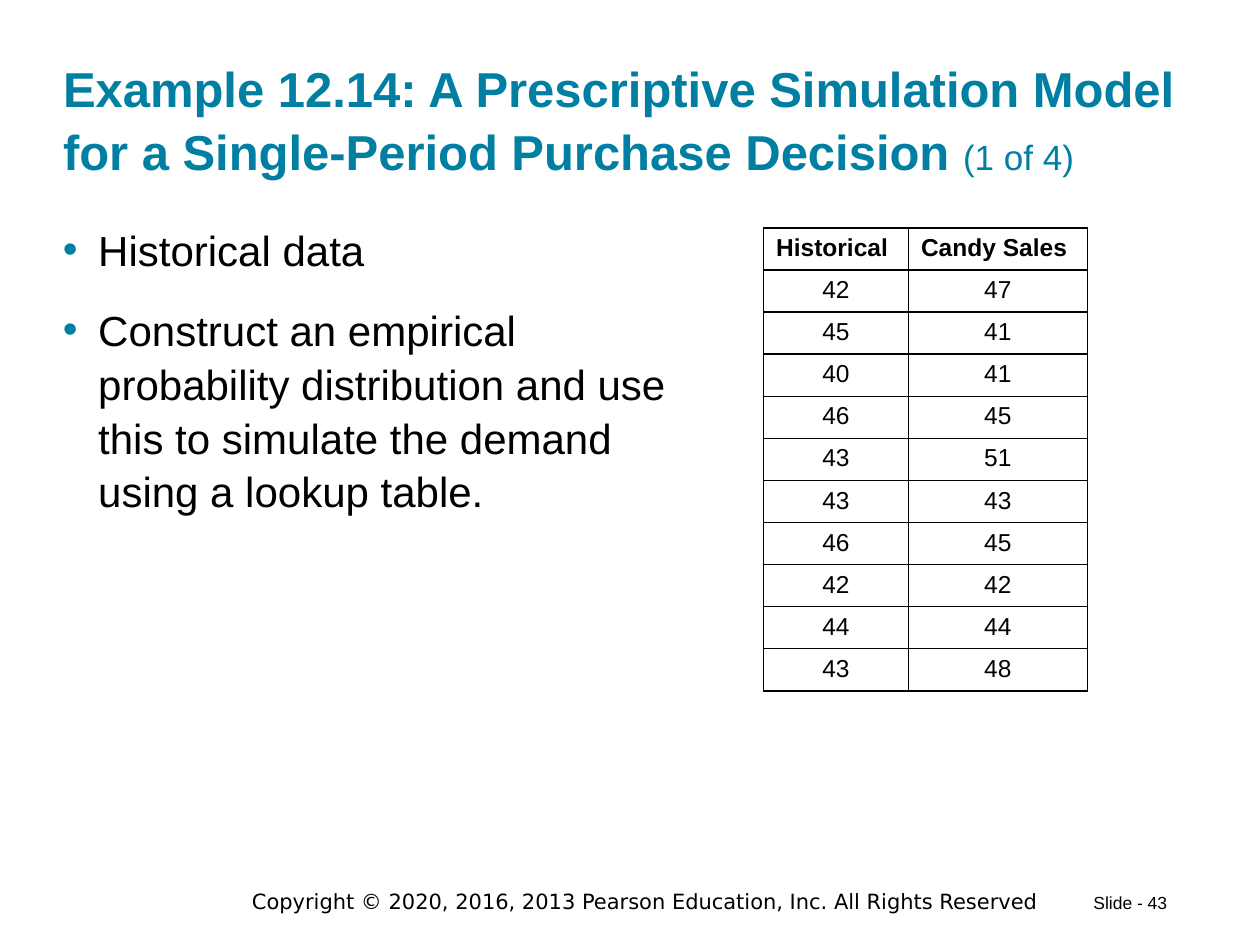
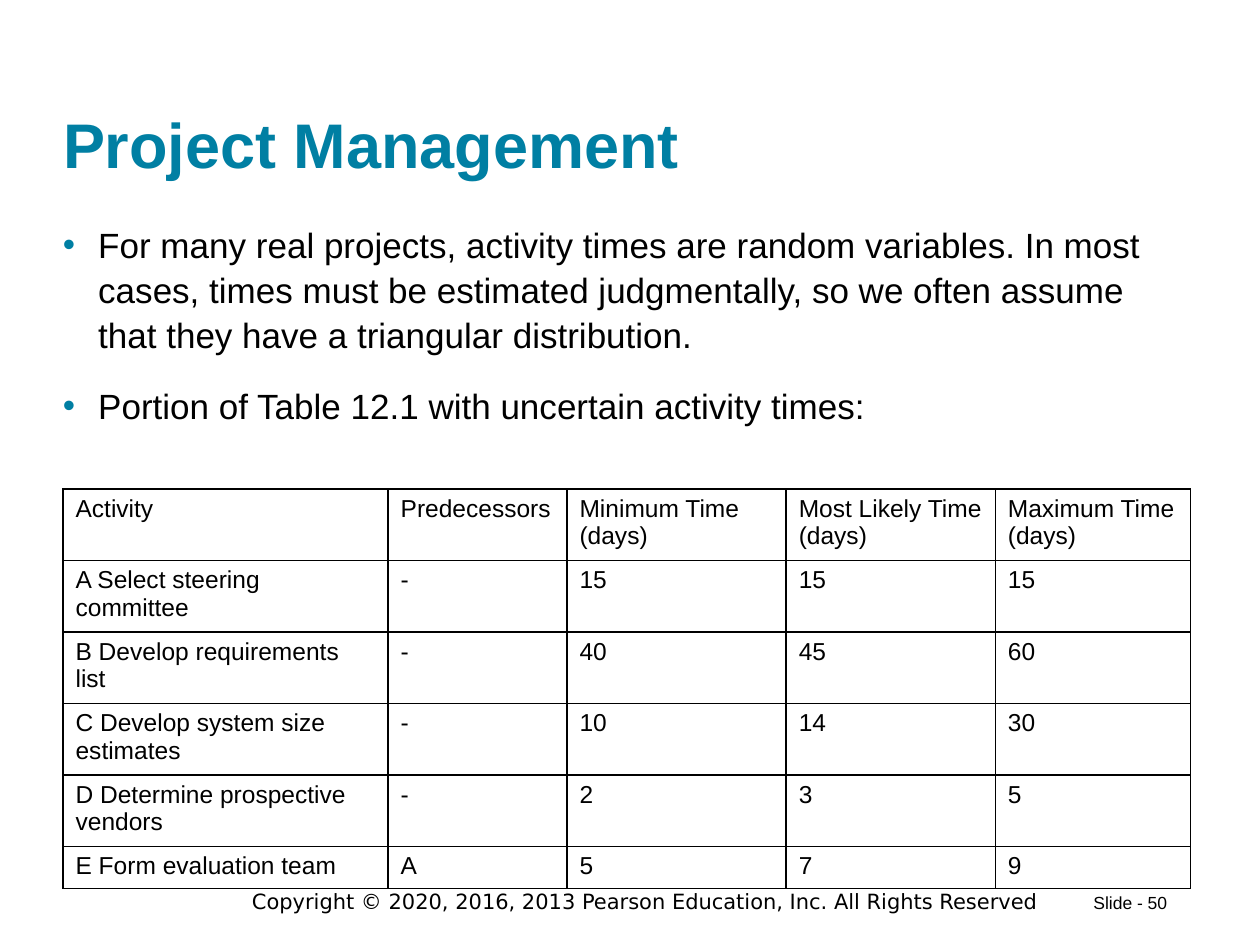
import pptx
import pptx.dml.color
import pptx.enum.text
import pptx.oxml
import pptx.oxml.ns
import pptx.util

Inches = pptx.util.Inches
Pt = pptx.util.Pt
RGBColor = pptx.dml.color.RGBColor
Align = pptx.enum.text.PP_ALIGN
Anchor = pptx.enum.text.MSO_ANCHOR

TEAL = RGBColor(0x00, 0x7F, 0xA3)
BLACK = RGBColor(0x00, 0x00, 0x00)
WHITE = RGBColor(0xFF, 0xFF, 0xFF)
BODY_FONT = "Arial"
FOOTER_FONT = "DejaVu Sans"
LINE_SPACING = 1.07
COPYRIGHT = "Copyright © 2020, 2016, 2013 Pearson Education, Inc. All Rights Reserved"


def add_xml(parent, tag, content="", attributes=""):
    """Append one DrawingML element to parent."""
    namespace = pptx.oxml.ns.nsdecls("a")
    parent.append(pptx.oxml.parse_xml(
        f"<a:{tag} {namespace} {attributes}>{content}</a:{tag}>"))


def color_xml(color):
    return f'<a:srgbClr val="{color}"/>'


class Deck:
    """Holds the shared style and the slide being built."""

    def __init__(self):
        self.presentation = pptx.Presentation()
        self.presentation.slide_width = Inches(10)
        self.presentation.slide_height = Inches(7.5)
        self.slide = None

    def style_font(self, font, size, color=BLACK, bold=False, name=BODY_FONT):
        font.name = name
        font.size = Pt(size)
        font.bold = bold
        font.color.rgb = color

    def set_margins(self, frame, top=0):
        frame.margin_left = frame.margin_right = frame.margin_bottom = 0
        frame.margin_top = Inches(top)

    def add_slide(self, number):
        layout = self.presentation.slide_layouts[5]
        self.slide = self.presentation.slides.add_slide(layout)
        self.add_footer(COPYRIGHT, 1.83, 7, 6.58, 0.3, 12, FOOTER_FONT, Align.CENTER)
        self.add_footer(f"Slide - {number}", 8.58, 7.03, 0.81, 0.27, 10)

    def add_text_box(self, left, top, width, height):
        shape = self.slide.shapes.add_textbox(
            Inches(left), Inches(top), Inches(width), Inches(height))
        shape.text_frame.word_wrap = True
        return shape.text_frame

    def add_footer(self, text, left, top, width, height, size,
                   name=BODY_FONT, alignment=Align.LEFT):
        paragraph = self.add_text_box(left, top, width, height).paragraphs[0]
        paragraph.text = text
        paragraph.alignment = alignment
        self.style_font(paragraph.font, size, name=name)

    def add_title(self, text, size, top, counter="", margin_top=0):
        title = self.slide.shapes.title
        title.left, title.top = Inches(0.5), Inches(top)
        title.width, title.height = Inches(9), Inches(1.2)
        frame = title.text_frame
        frame.auto_size = pptx.enum.text.MSO_AUTO_SIZE.NONE
        frame.vertical_anchor = Anchor.BOTTOM
        self.set_margins(frame, margin_top)
        paragraph = frame.paragraphs[0]
        paragraph.alignment = Align.LEFT
        paragraph.line_spacing = LINE_SPACING
        parts = [(text, size, True)]
        if counter:
            parts.append((counter, 20, False))
        for part, part_size, bold in parts:
            run = paragraph.add_run()
            run.text = part
            self.style_font(run.font, part_size, TEAL, bold)

    def add_bullets(self, items, width, height, size):
        frame = self.add_text_box(0.5, 1.75, width, height)
        self.set_margins(frame)
        for index, item in enumerate(items):
            paragraph = frame.add_paragraph() if index else frame.paragraphs[0]
            paragraph.text = item
            properties = paragraph._p.get_or_add_pPr()
            properties.set("marL", str(Inches(0.28)))
            properties.set("indent", str(-Inches(0.28)))
            add_xml(properties, "buClr", color_xml(TEAL))
            add_xml(properties, "buFont", attributes='typeface="Arial"')
            add_xml(properties, "buChar", attributes='char="•"')
            paragraph.line_spacing = LINE_SPACING
            paragraph.space_before = Pt(15 if index else 0)
            self.style_font(paragraph.font, size)

    def add_table(self, rows, left, top, widths, heights,
                  bold_header=False, number_alignment=Align.LEFT):
        table = self.slide.shapes.add_table(
            len(rows), len(widths), Inches(left), Inches(top),
            Inches(sum(widths)), Inches(sum(heights))).table
        table.first_row = table.horz_banding = False
        for column, width in zip(table.columns, widths):
            column.width = Inches(width)
        for row, height in zip(table.rows, heights):
            row.height = Inches(height)
        for row_index, values in enumerate(rows):
            is_header = row_index == 0
            for column_index, value in enumerate(values):
                cell = table.cell(row_index, column_index)
                cell.text = value
                self.add_borders(cell)
                cell.fill.solid()
                cell.fill.fore_color.rgb = WHITE
                for paragraph in cell.text_frame.paragraphs:
                    paragraph.alignment = Align.LEFT if is_header else number_alignment
                    self.style_font(paragraph.font, 14, bold=is_header and bold_header)

    def add_borders(self, cell):
        properties = cell._tc.get_or_add_tcPr()
        fill = f"<a:solidFill>{color_xml(BLACK)}</a:solidFill>"
        for side in ("lnL", "lnR", "lnT", "lnB"):
            add_xml(properties, side, fill, f'w="{Pt(1)}"')


def build_purchase_slide(deck):
    deck.add_slide(43)
    deck.add_title(
        "Example 12.14: A Prescriptive Simulation Model for a Single-Period Purchase Decision ",
        28, 0.23, counter="(1 of 4)", margin_top=0.1)
    deck.add_bullets([
        "Historical data",
        "Construct an empirical probability distribution and use this to simulate "
        "the demand using a lookup table.",
    ], 4.8, 3.42, 24)

    # Historical sales table
    sales = [(42, 47), (45, 41), (40, 41), (46, 45), (43, 51),
             (43, 43), (46, 45), (42, 42), (44, 44), (43, 48)]
    rows = [("Historical", "Candy Sales")]
    rows += [(str(first), str(second)) for first, second in sales]
    deck.add_table(rows, 6.06, 1.81, [1.15, 1.42], [0.31] * len(rows),
                   bold_header=True, number_alignment=Align.CENTER)


def build_project_slide(deck):
    deck.add_slide(50)
    deck.add_title("Project Management", 36, 0.24)
    deck.add_bullets([
        "For many real projects, activity times are random variables. In most cases, "
        "times must be estimated judgmentally, so we often assume that they have a "
        "triangular distribution.",
        "Portion of Table 12.1 with uncertain activity times:",
    ], 8.64, 1.9, 20)

    # Activity times table
    rows = [
        ("Activity", "Predecessors", "Minimum Time\n(days)",
         "Most Likely Time\n(days)", "Maximum Time\n(days)"),
        ("A Select steering committee", "-", "15", "15", "15"),
        ("B Develop requirements list", "-", "40", "45", "60"),
        ("C Develop system size estimates", "-", "10", "14", "30"),
        ("D Determine prospective vendors", "-", "2", "3", "5"),
        ("E Form evaluation team", "A", "5", "7", "9"),
    ]
    deck.add_table(rows, 0.5, 3.88, [2.58, 1.42, 1.74, 1.66, 1.55],
                   [0.53] * 5 + [0.31])


def main():
    deck = Deck()
    build_purchase_slide(deck)
    build_project_slide(deck)
    deck.presentation.save("out.pptx")


if __name__ == "__main__":
    main()
